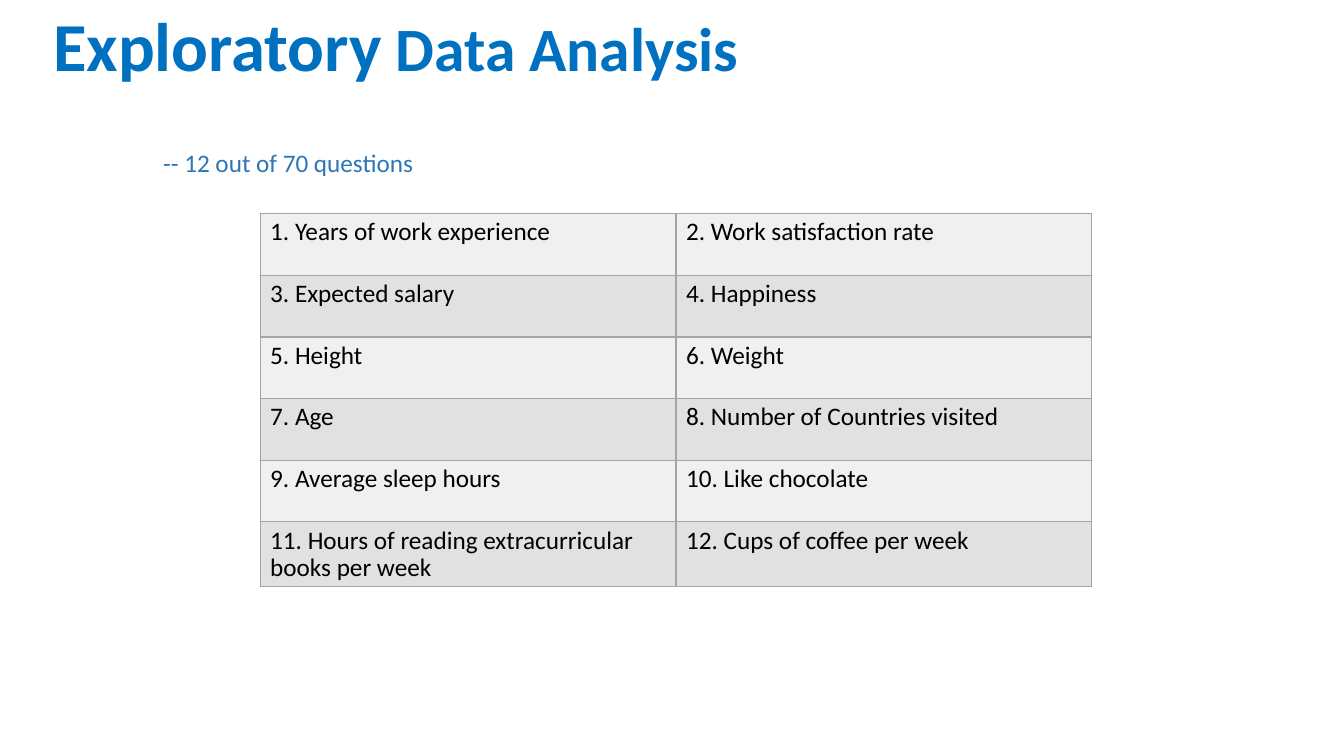
from lxml import etree
from pptx import Presentation
from pptx.dml.color import RGBColor
from pptx.enum import text
from pptx.oxml import ns
from pptx.util import Inches, Pt

COLORS = {
    "title": "0070C0",
    "subtitle": "2E75B6",
    "body": "000000",
    "border": "A5A5A5",
    "odd_row": "F0F0F0",
    "even_row": "E1E1E1",
}
FONT = "Calibri"
COLUMNS = 2
QUESTIONS = [
    "Years of work experience", "Work satisfaction rate",
    "Expected salary", "Happiness",
    "Height", "Weight",
    "Age", "Number of Countries visited",
    "Average sleep hours", "Like chocolate",
    "Hours of reading extracurricular books per week", "Cups of coffee per week",
]


def set_font(font, color, size=None, bold=False):
    font.name = FONT
    font.bold = bold
    font.color.rgb = RGBColor.from_string(COLORS[color])
    if size:
        font.size = Pt(size)


def add_text_box(page, box):
    frame = page.shapes.add_textbox(*map(Inches, box)).text_frame
    frame.word_wrap = True
    return frame


def add_title(page, box):
    frame = add_text_box(page, box)
    frame.vertical_anchor = text.MSO_ANCHOR.MIDDLE
    para = frame.paragraphs[0]
    para.line_spacing = 0.9
    set_font(para.font, "title", bold=True)
    for words, size in (("Exploratory", 49), (" Data Analysis", 44)):
        span = para.add_run()
        span.text = words
        span.font.size = Pt(size)


def add_subtitle(page, box):
    para = add_text_box(page, box).paragraphs[0]
    para.text = "-- 12 out of 70 questions"
    set_font(para.font, "subtitle", 18)


def add_borders(cell):
    """Draw a thin line on all four sides, placed before the cell fill."""
    properties = cell._tc.get_or_add_tcPr()
    for index, side in enumerate(("lnL", "lnR", "lnT", "lnB")):
        line = etree.Element(ns.qn(f"a:{side}"), w=str(Pt(1)))
        fill = etree.SubElement(line, ns.qn("a:solidFill"))
        etree.SubElement(fill, ns.qn("a:srgbClr"), val=COLORS["border"])
        properties.insert(index, line)


def add_question_table(page, box):
    """Number the questions and lay them out row by row."""
    rows = len(QUESTIONS) // COLUMNS
    table = page.shapes.add_table(rows, COLUMNS, *map(Inches, box)).table
    table.first_row = False
    for index, question in enumerate(QUESTIONS):
        row, column = divmod(index, COLUMNS)
        cell = table.cell(row, column)
        cell.fill.solid()
        shade = "even_row" if row % 2 else "odd_row"
        cell.fill.fore_color.rgb = RGBColor.from_string(COLORS[shade])
        add_borders(cell)
        para = cell.text_frame.paragraphs[0]
        para.text = f"{index + 1}. {question}"
        para.line_spacing = 0.9
        para.space_before = Pt(10)
        set_font(para.font, "body", 18)


def build_question_slide(deck):
    page = deck.slides.add_slide(deck.slide_layouts[6])
    add_title(page, (0.43, 0, 11.5, 0.97))
    add_question_table(page, (2.58, 2.12, 8.25, 3.67))
    add_subtitle(page, (1.52, 1.41, 5.78, 0.71))


def main():
    deck = Presentation()
    deck.slide_width, deck.slide_height = Inches(13.33), Inches(7.5)
    build_question_slide(deck)
    deck.save("out.pptx")


if __name__ == "__main__":
    main()
